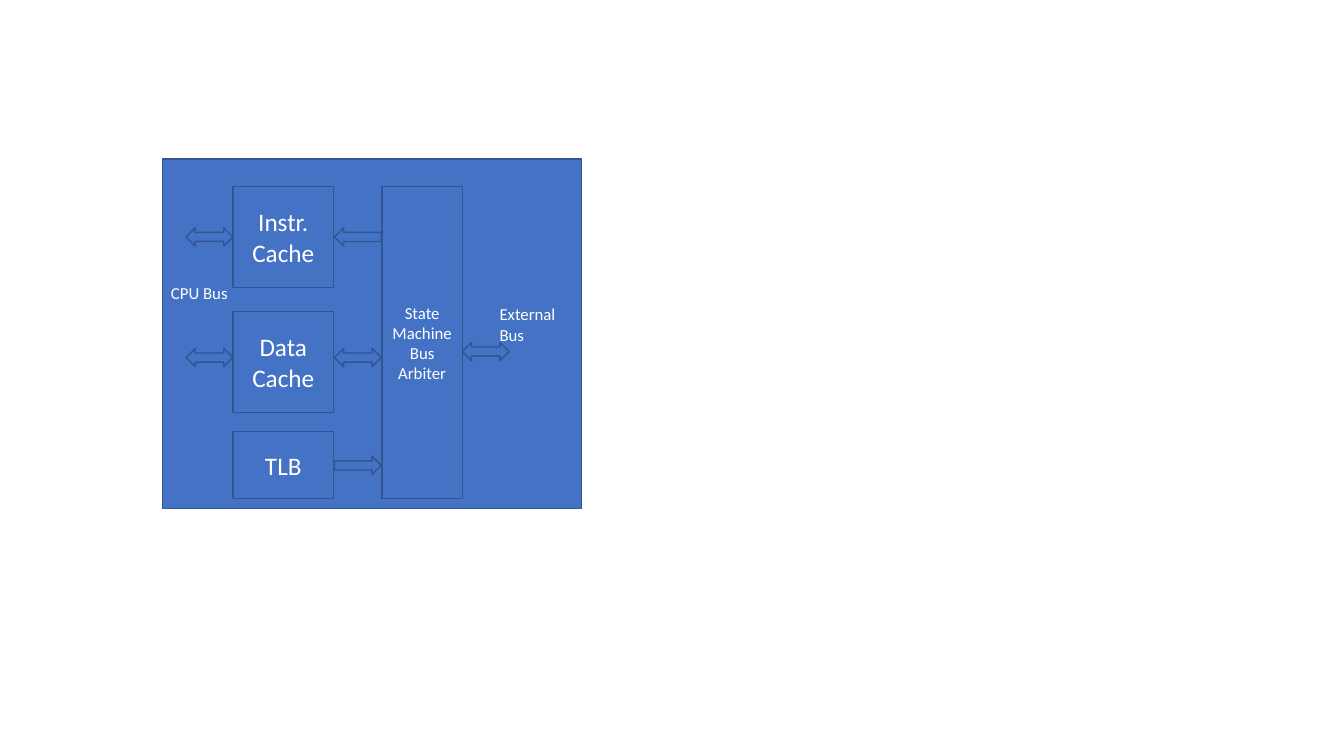
"""Build a slide with a block diagram of a cache and bus unit."""
import pptx
import pptx.util
import pptx.dml.color
import pptx.enum.shapes
import pptx.enum.text

Cm = pptx.util.Cm
Pt = pptx.util.Pt
SHAPE = pptx.enum.shapes.MSO_SHAPE
ALIGN = pptx.enum.text.PP_ALIGN

BLUE = pptx.dml.color.RGBColor(0x44, 0x72, 0xC4)
EDGE = pptx.dml.color.RGBColor(0x32, 0x54, 0x91)
WHITE = pptx.dml.color.RGBColor(0xFF, 0xFF, 0xFF)

PANEL = (4.09, 4.01, 10.57, 8.81)
CACHE_LEFT, CACHE_WIDTH = 5.87, 2.54
ARBITER_LEFT, ARBITER_WIDTH = 9.63, 2.02
BLOCK_TOP, BLOCK_BOTTOM = 4.7, 12.57
ARROW_WIDTH, ARROW_HEIGHT = 1.18, 0.46

CACHES = [
    ("Instr. Cache", BLOCK_TOP, 2.54),
    ("Data Cache", 7.85, 2.54),
    ("TLB", 10.87, BLOCK_BOTTOM - 10.87),
]
ARBITER = "State Machine\vBus Arbiter"

CPU_SIDE = CACHE_LEFT - ARROW_WIDTH
CACHE_SIDE = CACHE_LEFT + CACHE_WIDTH + 0.02
EXTERNAL_SIDE = ARBITER_LEFT + ARBITER_WIDTH
INSTR_ROW, EXTERNAL_ROW, DATA_ROW, TLB_ROW = 5.97, 8.86, 9.01, 11.73
ARROWS = [
    (SHAPE.RIGHT_ARROW, CACHE_SIDE, TLB_ROW, 0),
    (SHAPE.RIGHT_ARROW, CACHE_SIDE, INSTR_ROW, 180),
    (SHAPE.LEFT_RIGHT_ARROW, CACHE_SIDE, DATA_ROW, 0),
    (SHAPE.LEFT_RIGHT_ARROW, EXTERNAL_SIDE, EXTERNAL_ROW, 0),
    (SHAPE.LEFT_RIGHT_ARROW, CPU_SIDE, INSTR_ROW, 0),
    (SHAPE.LEFT_RIGHT_ARROW, CPU_SIDE, DATA_ROW, 0),
]
LABELS = [
    ("External Bus", 12.34, 7.54, 2.2, 1.28),
    ("CPU Bus", 4.06, 7.01, 2.2, 0.77),
]

deck = pptx.Presentation()
deck.slide_width, deck.slide_height = Cm(33.87), Cm(19.05)
page = deck.slides.add_slide(deck.slide_layouts[6])


def write(box, text, size, align):
    frame = box.text_frame
    frame.word_wrap = True
    frame.text = text
    for para in frame.paragraphs:
        para.alignment = align
        for span in para.runs:
            span.font.name = "Calibri"
            span.font.size = Pt(size)
            span.font.color.rgb = WHITE


def add_block(kind, left, top, width, height):
    block = page.shapes.add_shape(kind, Cm(left), Cm(top), Cm(width), Cm(height))
    block.shadow.inherit = False
    block.fill.solid()
    block.fill.fore_color.rgb = BLUE
    block.line.color.rgb = EDGE
    block.line.width = Pt(1)
    return block


add_block(SHAPE.RECTANGLE, *PANEL)

for text, top, height in CACHES:
    cache = add_block(SHAPE.RECTANGLE, CACHE_LEFT, top, CACHE_WIDTH, height)
    write(cache, text, 18, ALIGN.CENTER)

arbiter = add_block(SHAPE.RECTANGLE, ARBITER_LEFT, BLOCK_TOP,
                    ARBITER_WIDTH, BLOCK_BOTTOM - BLOCK_TOP)
arbiter.text_frame.margin_left = arbiter.text_frame.margin_right = Cm(0.2)
write(arbiter, ARBITER, 12, ALIGN.CENTER)

for kind, left, middle, turn in ARROWS:
    arrow = add_block(kind, left, middle - ARROW_HEIGHT / 2, ARROW_WIDTH, ARROW_HEIGHT)
    arrow.rotation = turn

for text, left, top, width, height in LABELS:
    label = page.shapes.add_textbox(Cm(left), Cm(top), Cm(width), Cm(height))
    write(label, text, 12, ALIGN.LEFT)

deck.save("out.pptx")
